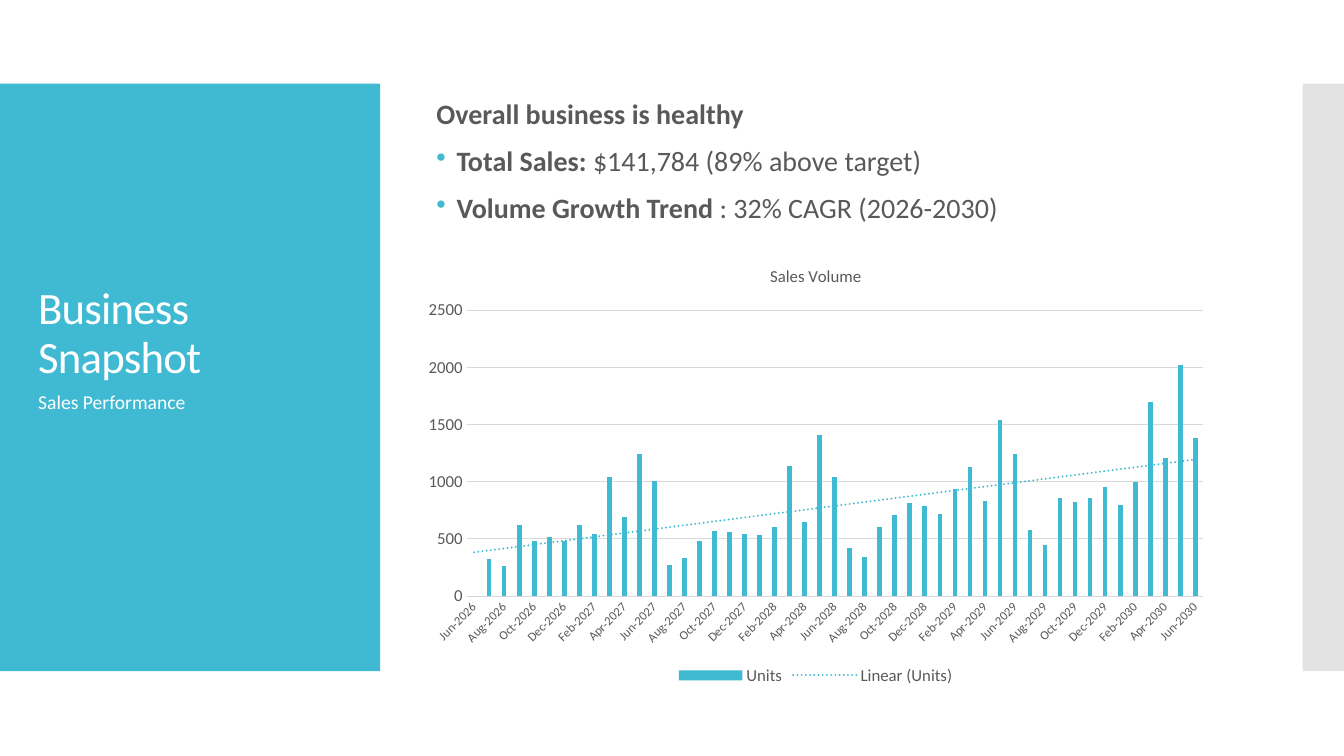
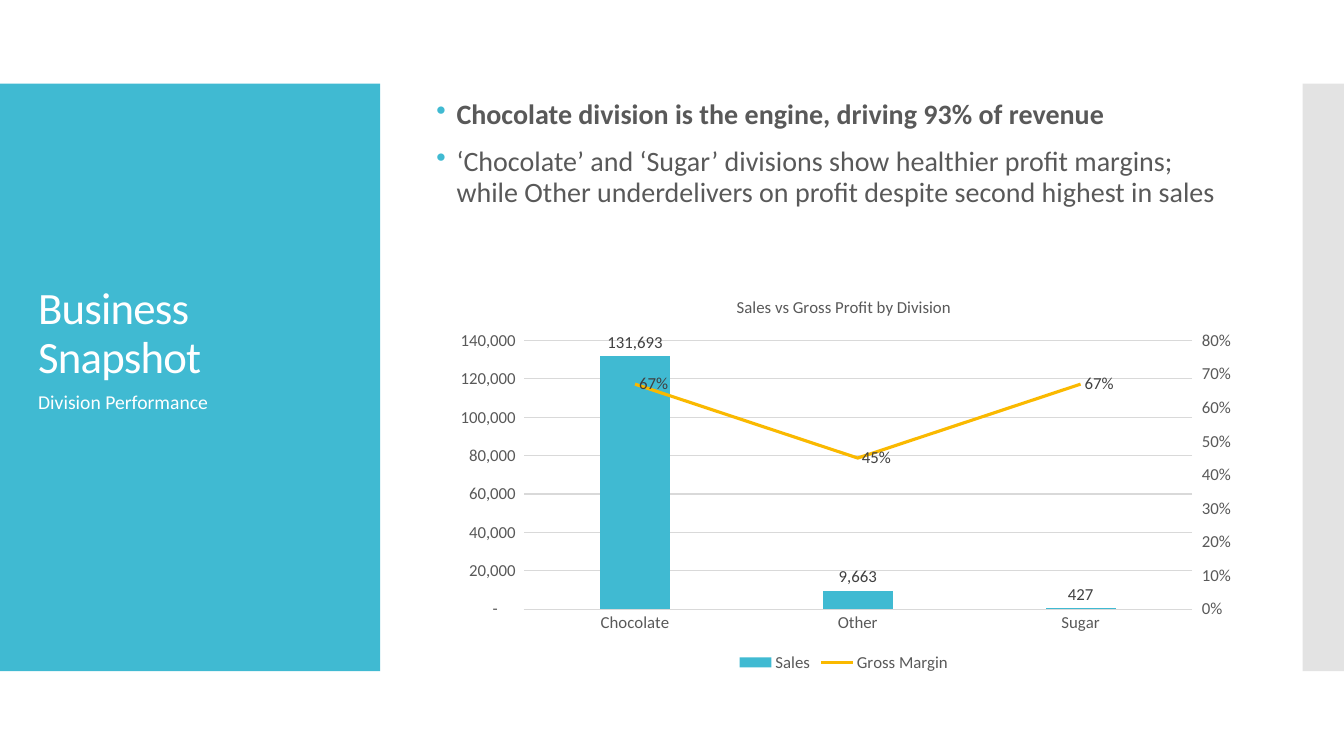
from copy import deepcopy

from pptx import Presentation
from pptx.chart import axis as chart_axis
from pptx.chart.data import CategoryChartData
from pptx.dml.color import RGBColor
from pptx.enum import chart as chart_enum, dml, shapes, text
from pptx.oxml import parse_xml
from pptx.oxml.ns import nsdecls, qn
from pptx.util import Inches, Pt

FONT = "Calibri"
TEAL, GOLD, GREY, WHITE = "40BAD2", "FAB900", "C8C8C8", "FFFFFF"
TEXT, LABEL, GRID = "595959", "404040", "D9D9D9"
BAND_TOP, BAND_HEIGHT = 0.83, 5.83
THOUSANDS = '_(* #,##0_);_(* \\(#,##0\\);_(* "-"??_);_(@_)'

MONTHS = "Jan Feb Mar Apr May Jun Jul Aug Sep Oct Nov Dec".split()
FIRST_MONTH, FIRST_YEAR = 5, 2026
UNITS = [
    0, 320, 260, 620, 480, 520, 480,
    620, 540, 1040, 690, 1240, 1010, 270, 330, 480, 570, 560, 540,
    530, 600, 1140, 650, 1410, 1040, 420, 340, 600, 710, 810, 790,
    720, 940, 1130, 830, 1540, 1240, 580, 450, 860, 820, 860, 950,
    800, 1000, 1700, 1210, 2020, 1380,
]


def color(hex_code):
    return RGBColor.from_string(hex_code)


def set_font(font, size, hex_code, bold=None):
    font.name, font.size, font.bold = FONT, Pt(size), bold
    font.color.rgb = color(hex_code)


def add_band(slide, left, width, fill, opacity=100):
    band = slide.shapes.add_shape(
        shapes.MSO_SHAPE.RECTANGLE,
        Inches(left), Inches(BAND_TOP), Inches(width), Inches(BAND_HEIGHT))
    band.shadow.inherit = False
    band.line.fill.background()
    band.fill.solid()
    band.fill.fore_color.rgb = color(fill)
    if opacity < 100:
        band.fill._xPr.find(".//" + qn("a:srgbClr")).append(
            parse_xml(f'<a:alpha {nsdecls("a")} val="{opacity * 1000}"/>'))


def add_text_frame(slide, box, anchor=text.MSO_ANCHOR.TOP):
    frame = slide.shapes.add_textbox(*map(Inches, box)).text_frame
    frame.word_wrap = True
    frame.vertical_anchor = anchor
    return frame


def add_side_panel(slide, subtitle):
    """Teal title panel on the left and grey band on the right."""
    add_band(slide, 0, 3.77, TEAL)
    add_band(slide, 12.92, 0.42, GREY, opacity=50)

    frame = add_text_frame(slide, (0.28, 1.25, 3.1, 2.6), text.MSO_ANCHOR.BOTTOM)
    title = frame.paragraphs[0]
    title.text = "Business Snapshot"
    title.line_spacing = 0.9
    set_font(title.font, 32, WHITE)
    title.font._element.set("spc", "-60")

    paragraph = add_text_frame(slide, (0.28, 3.82, 3.1, 2.54)).paragraphs[0]
    paragraph.text = subtitle
    set_font(paragraph.font, 14, WHITE)


def add_bullet(paragraph):
    properties = paragraph._p.get_or_add_pPr()
    properties.set("marL", str(Inches(0.2)))
    properties.set("indent", str(-Inches(0.2)))
    properties.append(parse_xml(
        f'<a:buClr {nsdecls("a")}><a:srgbClr val="{TEAL}"/></a:buClr>'))
    properties.append(parse_xml(f'<a:buChar {nsdecls("a")} char="•"/>'))


def add_key_points(slide, box, points):
    """Each point is (bulleted, bold text, plain text)."""
    frame = add_text_frame(slide, box)
    for index, (bulleted, bold_text, plain_text) in enumerate(points):
        paragraph = frame.add_paragraph() if index else frame.paragraphs[0]
        paragraph.line_spacing = 0.9
        if index:
            paragraph.space_before = Pt(12)
        if bulleted:
            add_bullet(paragraph)
        set_font(paragraph.font, 20, TEXT)
        for words, bold in ((bold_text, True), (plain_text, False)):
            if words:
                run = paragraph.add_run()
                run.text = words
                run.font.bold = bold


def style_line(line, hex_code, width=0.75):
    line.color.rgb = color(hex_code)
    line.width = Pt(width)


def add_column_chart(slide, box, title, categories, series, number_format):
    data = CategoryChartData()
    data.categories = categories
    for name, values in series:
        data.add_series(name, values)
    chart = slide.shapes.add_chart(
        chart_enum.XL_CHART_TYPE.COLUMN_CLUSTERED, *map(Inches, box), data).chart
    set_font(chart.font, 10, TEXT)

    chart.has_title = True
    chart.chart_title.include_in_layout = False
    heading = chart.chart_title.text_frame.paragraphs[0]
    heading.text = title
    set_font(heading.runs[0].font, 12, TEXT, bold=False)

    chart.has_legend = True
    chart.legend.position = chart_enum.XL_LEGEND_POSITION.BOTTOM
    chart.legend.include_in_layout = False
    set_font(chart.legend.font, 12, TEXT)

    for axis in (chart.category_axis, chart.value_axis):
        axis.major_tick_mark = chart_enum.XL_TICK_MARK.NONE
        axis.minor_tick_mark = chart_enum.XL_TICK_MARK.NONE
        set_font(axis.tick_labels.font, 12, TEXT)
    style_line(chart.category_axis.format.line, GRID)
    value_axis = chart.value_axis
    value_axis.format.line.fill.background()
    style_line(value_axis.major_gridlines.format.line, GRID)
    value_axis.tick_labels.number_format = number_format
    value_axis.tick_labels.number_format_is_linked = False

    plot = chart.plots[0]
    plot.vary_by_categories = False
    plot.gap_width = 219
    columns = plot.series[0]
    columns.format.fill.solid()
    columns.format.fill.fore_color.rgb = color(TEAL)
    return chart


def add_trend_line(series, name):
    series._element.find(qn("c:cat")).addprevious(parse_xml(
        f'<c:trendline {nsdecls("c", "a")}><c:name>{name}</c:name>'
        f'<c:spPr><a:ln w="{Pt(1.5)}" cap="rnd"><a:solidFill>'
        f'<a:srgbClr val="{TEAL}"/></a:solidFill><a:prstDash val="sysDot"/></a:ln></c:spPr>'
        '<c:trendlineType val="linear"/><c:dispRSqr val="0"/><c:dispEq val="0"/>'
        '</c:trendline>'))


def slant_month_labels(axis):
    """Turn the labels by 45 degrees and show every second one."""
    set_font(axis.tick_labels.font, 9, TEXT)
    element = axis._element
    element.find(qn("c:txPr")).find(qn("a:bodyPr")).set("rot", str(-45 * 60000))
    element.find(qn("c:noMultiLvlLbl")).addprevious(
        parse_xml(f'<c:tickLblSkip {nsdecls("c")} val="2"/>'))


def move_last_series_to_line(chart):
    """Draw the last series as a line on a second value axis, which is returned."""
    bar_plot = chart.plots[0]._element
    series = bar_plot.findall(qn("c:ser"))[-1]
    for bar_only in series.findall(qn("c:invertIfNegative")):
        series.remove(bar_only)
    line_plot = parse_xml(
        f'<c:lineChart {nsdecls("c")}><c:grouping val="standard"/>'
        '<c:varyColors val="0"/><c:marker val="1"/>'
        '<c:axId val="5001"/><c:axId val="5002"/></c:lineChart>')
    line_plot.find(qn("c:varyColors")).addnext(series)
    bar_plot.addnext(line_plot)

    left = chart.value_axis._element
    hidden, right = deepcopy(chart.category_axis._element), deepcopy(left)
    left.addnext(right)
    right.addnext(hidden)
    for element, own, other in ((hidden, "5001", "5002"), (right, "5002", "5001")):
        element.find(qn("c:axId")).set("val", own)
        element.find(qn("c:crossAx")).set("val", other)
    right.find(qn("c:axPos")).set("val", "r")
    right.find(qn("c:crosses")).set("val", "max")
    chart_axis.CategoryAxis(hidden).visible = False
    return chart_axis.ValueAxis(right)


def show_values(series, number_format, position):
    labels = series.data_labels
    labels.show_value = True
    labels.number_format = number_format
    labels.number_format_is_linked = False
    labels.position = position
    set_font(labels.font, 12, LABEL)


def add_volume_chart(slide, box):
    months = []
    for offset in range(len(UNITS)):
        years, month = divmod(FIRST_MONTH + offset, 12)
        months.append(f"{MONTHS[month]}-{FIRST_YEAR + years}")
    chart = add_column_chart(
        slide, box, "Sales Volume", months, [("Units", UNITS)], "General")
    chart.plots[0].overlap = -27
    chart.value_axis.maximum_scale = 2500
    chart.value_axis.major_unit = 500
    slant_month_labels(chart.category_axis)
    add_trend_line(chart.plots[0].series[0], "Linear (Units)")


def add_division_chart(slide, box):
    chart = add_column_chart(
        slide, box, "Sales vs Gross Profit by Division",
        ["Chocolate", "Other", "Sugar"],
        [("Sales", [131693, 9663, 427]), ("Gross Margin", [0.67, 0.45, 0.67])],
        THOUSANDS)
    margin_axis = move_last_series_to_line(chart)
    margin_axis.has_major_gridlines = False
    margin_axis.major_tick_mark = chart_enum.XL_TICK_MARK.OUTSIDE
    margin_axis.tick_labels.number_format = "0%"
    for axis, maximum, step in (
            (chart.value_axis, 140000, 20000), (margin_axis, 0.8, 0.1)):
        axis.minimum_scale, axis.maximum_scale = 0, maximum
        axis.major_unit = step

    sales, margin = (plot.series[0] for plot in chart.plots)
    show_values(sales, THOUSANDS, chart_enum.XL_LABEL_POSITION.OUTSIDE_END)
    show_values(margin, "0%", chart_enum.XL_LABEL_POSITION.RIGHT)
    style_line(margin.format.line, GOLD, 2.25)
    margin.format.line.dash_style = dml.MSO_LINE.SOLID
    margin.marker.style = chart_enum.XL_MARKER_STYLE.NONE
    margin.smooth = False


def add_snapshot_slide(presentation, subtitle, points, points_box, add_chart, chart_box):
    slide = presentation.slides.add_slide(presentation.slide_layouts[6])
    add_side_panel(slide, subtitle)
    add_key_points(slide, points_box, points)
    add_chart(slide, chart_box)


def main():
    presentation = Presentation()
    presentation.slide_width = Inches(13.33)
    presentation.slide_height = Inches(7.5)
    add_snapshot_slide(
        presentation, "Sales Performance",
        [(False, "Overall business is healthy", ""),
         (True, "Total Sales: ", "$141,784 (89% above target)"),
         (True, "Volume Growth Trend ", ": 32% CAGR (2026-2030)")],
        (4.23, 0.95, 8, 5.6), add_volume_chart, (4.09, 2.45, 8, 4.39))
    add_snapshot_slide(
        presentation, "Division Performance",
        [(True, "Chocolate division is the engine, driving 93% of revenue", ""),
         (True, "", "‘Chocolate’ and ‘Sugar’ divisions show healthier profit margins; "
                    "while Other underdelivers on profit despite second highest in sales")],
        (4.23, 0.95, 8.14, 5.6), add_division_chart, (4.37, 2.77, 8, 3.94))
    presentation.save("out.pptx")


if __name__ == "__main__":
    main()
